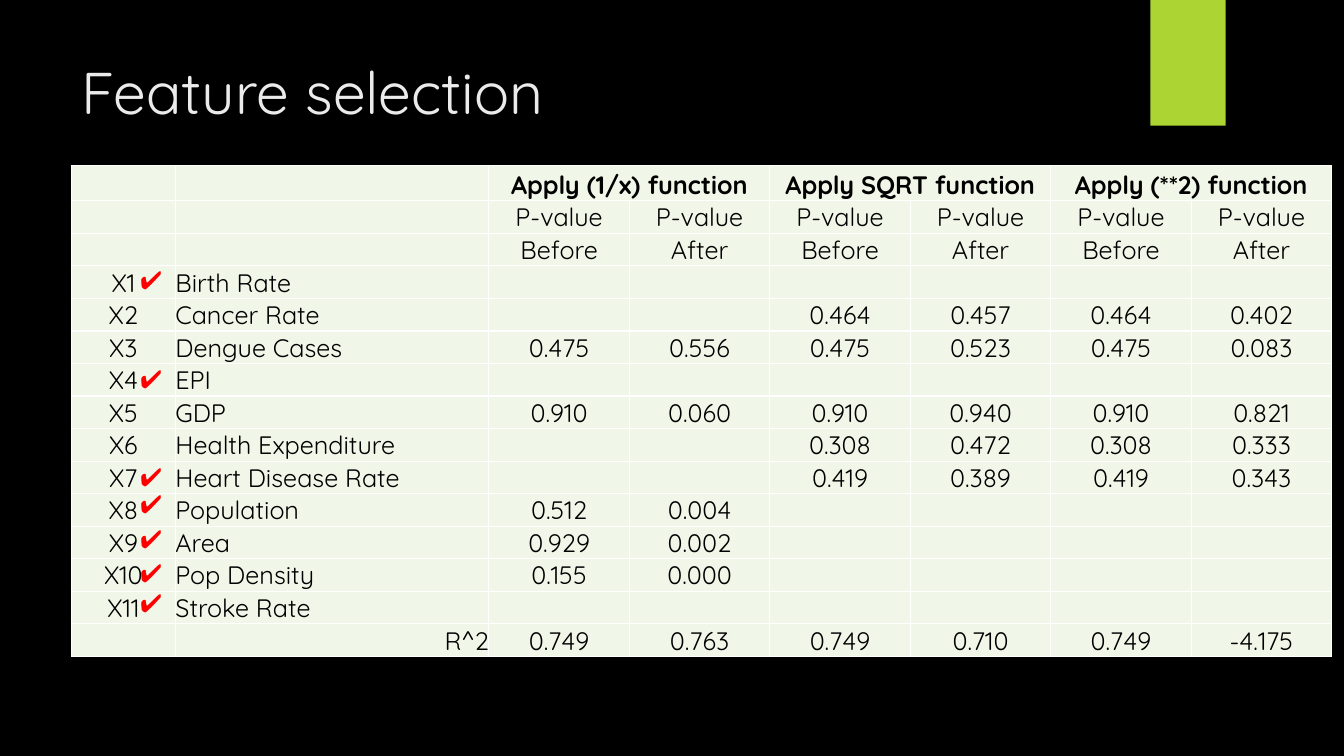
from pptx import Presentation
from pptx.dml.color import RGBColor
from pptx.enum.shapes import MSO_SHAPE
from pptx.enum.text import MSO_ANCHOR, PP_ALIGN
from pptx.util import Cm, Pt

LEFT, CENTER, RIGHT = PP_ALIGN.LEFT, PP_ALIGN.CENTER, PP_ALIGN.RIGHT
BOTTOM = MSO_ANCHOR.BOTTOM
RECT = MSO_SHAPE.RECTANGLE


def color(text):
    return RGBColor.from_string(text)


def style(para, size, name, tint):
    para.font.size = Pt(size)
    para.font.name = name
    para.font.color.rgb = color(tint)


deck = Presentation()
deck.slide_width, deck.slide_height = Cm(33.87), Cm(19.05)
slide = deck.slides.add_slide(deck.slide_layouts[6])
slide.background.fill.solid()
slide.background.fill.fore_color.rgb = color("000000")

# Green tab at the top
tab = slide.shapes.add_shape(RECT, Cm(28.99), Cm(0), Cm(1.9), Cm(3.17))
tab.shadow.inherit = False
tab.fill.solid()
tab.fill.fore_color.rgb = color("ACD433")
tab.line.fill.background()

# Table of p-values
blank = ["", ""]
rows = [
    ["", "", "Apply (1/x) function", "", "Apply SQRT function", "",
     "Apply (**2) function", ""],
    ["", ""] + ["P-value"] * 6,
    ["", ""] + ["Before", "After"] * 3,
    ["X1", "Birth Rate"] + blank * 3,
    ["X2", "Cancer Rate"] + blank + ["0.464", "0.457", "0.464", "0.402"],
    ["X3", "Dengue Cases", "0.475", "0.556", "0.475", "0.523", "0.475", "0.083"],
    ["X4", "EPI"] + blank * 3,
    ["X5", "GDP", "0.910", "0.060", "0.910", "0.940", "0.910", "0.821"],
    ["X6", "Health Expenditure"] + blank + ["0.308", "0.472", "0.308", "0.333"],
    ["X7", "Heart Disease Rate"] + blank + ["0.419", "0.389", "0.419", "0.343"],
    ["X8", "Population", "0.512", "0.004"] + blank * 2,
    ["X9", "Area", "0.929", "0.002"] + blank * 2,
    ["X10", "Pop Density", "0.155", "0.000"] + blank * 2,
    ["X11", "Stroke Rate"] + blank * 3,
    ["", "R^2", "0.749", "0.763", "0.749", "0.710", "0.749", "-4.175"],
]
widths = [2.62, 7.9] + [3.54] * 6
heights = [0.89] + [0.82] * 14
table = slide.shapes.add_table(
    len(rows), len(widths), Cm(1.8), Cm(4.17), Cm(sum(widths)), Cm(sum(heights))
).table
table.first_row = table.horz_banding = False
for col, width in zip(table.columns, widths):
    col.width = Cm(width)
for row, height in zip(table.rows, heights):
    row.height = Cm(height)

for r, row in enumerate(rows):
    for c, text in enumerate(row):
        cell = table.cell(r, c)
        cell.fill.solid()
        cell.fill.fore_color.rgb = color("F1F7E8")
        cell.margin_left = cell.margin_right = Cm(0)
        cell.margin_top = cell.margin_bottom = Cm(0)
        cell.vertical_anchor = BOTTOM
        cell.text = text
        para = cell.text_frame.paragraphs[0]
        style(para, 18, "Quicksand", "000000")
        para.font.bold = r == 0
        if c != 1:
            para.alignment = CENTER
        else:
            para.alignment = RIGHT if text == "R^2" else LEFT
for c in (2, 4, 6):
    table.cell(0, c).merge(table.cell(0, c + 1))

# Title, then a check mark beside each chosen feature
labels = [("Feature selection", 1.8, 1.27, 26.14, 3.89, 42, "Quicksand", "EBEBEB")]
for top in (6.53, 9.02, 11.51, 12.19, 13.06, 13.92, 14.68):
    labels.append(("✔", 3.28, top, 1.3, 1.02, 18, "Arial", "FF0000"))
for text, left, top, width, height, size, name, tint in labels:
    box = slide.shapes.add_textbox(Cm(left), Cm(top), Cm(width), Cm(height))
    box.text_frame.word_wrap = True
    box.text_frame.text = text
    style(box.text_frame.paragraphs[0], size, name, tint)

deck.save("out.pptx")
